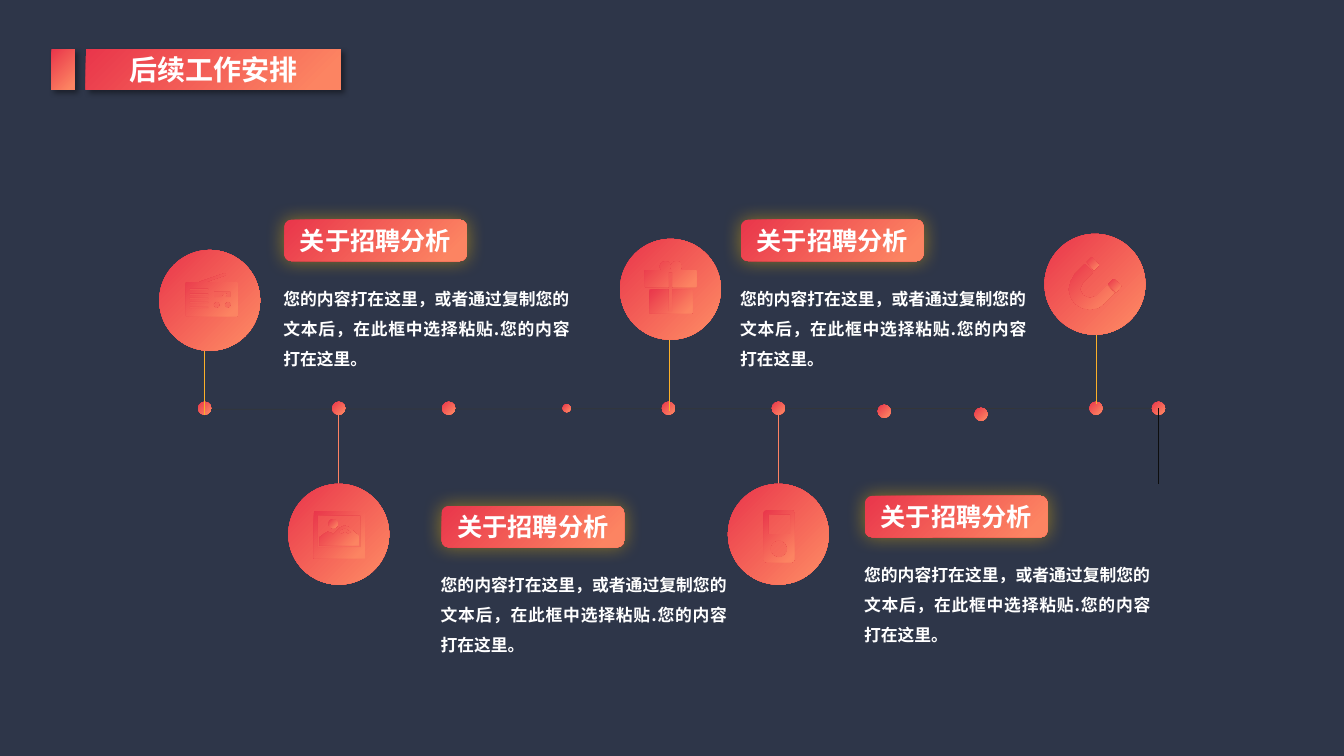
from math import cos, pi, sin

from lxml.etree import SubElement
from pptx import Presentation
from pptx.dml.color import RGBColor
from pptx.enum.shapes import MSO_CONNECTOR as Connector, MSO_SHAPE as Preset
from pptx.enum.text import MSO_ANCHOR as Anchor, PP_ALIGN as Align
from pptx.oxml.ns import qn
from pptx.util import Inches, Pt

COLORS = {
    "background": "2E3649", "red": "E9364B", "orange": "FC8462",
    "text": "FFFFFF", "glow": "FFC000", "shade": "000000",
    "axis": "343639", "stem_up": "FBB029", "stem_down": "FE8263", "stem_end": "0D0D0D",
}
CJK_FONT = "Noto Sans CJK SC"
HEADING = "关于招聘分析"
BODY = "您的内容打在这里，或者通过复制您的文本后，在此框中选择粘贴.您的内容打在这里。"
BADGE_SIZE = 1.0
DOT_SIZE = 0.13


def rgb(name):
    return RGBColor.from_string(COLORS[name])


def paint(shape):
    """Give a shape the red to orange gradient, without line or shadow."""
    shape.shadow.inherit = False
    shape.line.fill.background()
    shape.fill.gradient()
    shape.fill.gradient_angle = 315
    for stop, name, position in zip(shape.fill.gradient_stops, ("red", "orange"), (0, 0.9)):
        stop.color.rgb = rgb(name)
        stop.position = position


def add_shadow(shape, color, opacity, blur, distance=0, angle=0):
    effects = shape._element.spPr.find(qn("a:effectLst"))
    shadow = SubElement(effects, qn("a:outerShdw"), blurRad=str(Pt(blur)),
                        dist=str(Pt(distance)), dir=str(angle * 60000),
                        algn="ctr", rotWithShape="0")
    tint = SubElement(shadow, qn("a:srgbClr"), val=COLORS[color])
    SubElement(tint, qn("a:alpha"), val=str(opacity * 1000))


def add_preset(page, preset, left, top, width, height):
    shape = page.shapes.add_shape(preset, Inches(left), Inches(top), Inches(width), Inches(height))
    paint(shape)
    return shape


def write(shape, text, size, font=CJK_FONT, align=Align.CENTER, spacing=None):
    para = shape.text_frame.paragraphs[0]
    para.alignment = align
    if spacing:
        para.line_spacing = spacing
    span = para.add_run()
    span.text = text
    span.font.name = font
    span.font.size = Pt(size)
    span.font.bold = True
    span.font.color.rgb = rgb("text")
    SubElement(span.font._element, qn("a:ea"), typeface=CJK_FONT)


def add_line(page, start, end, color):
    line = page.shapes.add_connector(Connector.STRAIGHT, *(Inches(v) for v in (*start, *end)))
    line.line.color.rgb = rgb(color)
    line.line.width = Pt(0.5)
    SubElement(line._element.spPr, qn("a:effectLst"))


# Icon outlines, in hundredths of an inch from the corner of the badge
def rect(left, top, right, bottom):
    return [(left, top), (right, top), (right, bottom), (left, bottom)]


def ring(x, y, radius, steps=24):
    angles = [2 * pi * step / steps for step in range(steps)]
    return [(x + radius * cos(a), y + radius * sin(a)) for a in angles]


RADIO = [[
    [(77, 32), (46, 32), (66, 25), (66, 24), (65, 23), (39, 32), (27, 32), (26, 33),
     (26, 65), (27, 66), (77, 66), (78, 65), (78, 33)],
    *[rect(30, top, 49, top + 2) for top in (38, 43, 47, 51, 56)],
    ring(57, 54.5, 3.3), ring(68, 54.5, 3.3),
    [(71, 47), (65, 47), (67, 44), (65, 43), (62, 47), (54, 47), (54, 41), (71, 41)],
]]
PHOTO = [
    [rect(25, 27, 76, 74), rect(29, 31, 72, 63)],
    [ring(44.5, 39.5, 4.5)],
    [[(52, 43), (44, 51), (43, 49), (39, 47.5), (35, 50), (31, 53), (31, 61), (70, 61),
      (70, 52), (60, 43), (56, 41.5)],
     [(59, 50), (56, 48), (53, 50), (50, 48), (53, 45), (56, 44), (59, 45), (63, 48)]],
]
GIFT = [
    [[(75, 31), (60, 31), (61, 27), (60, 23.5), (56, 22), (52, 23.5), (50, 27), (51, 31),
      (49, 31), (50, 27), (49, 23.5), (45, 22), (41, 23.5), (39, 27), (41, 31), (25, 31),
      (24, 32), (24, 47), (25, 48), (48, 48), (48, 33), (52, 33), (52, 48), (75, 48),
      (76, 47), (76, 32)]],
    [[(52, 50), (52, 72), (48, 72), (48, 50), (29, 50), (29, 73), (30, 74), (71, 74),
      (72, 73), (72, 50)]],
]
PLAYER = [[
    [(39, 26), (63, 26), (65, 27), (66, 29), (66, 75), (65, 77), (63, 78), (39, 78),
     (36, 77), (35, 75), (35, 29), (36, 27)],
    rect(40, 30, 62, 50), ring(50.5, 64.5, 8.5),
]]
MAGNET = [
    [[(54, 31), (48, 24), (47, 23), (46, 24), (42, 28), (49, 36)]],
    [[(51, 62), (45, 64), (38, 61), (35, 55), (38, 48), (48, 38), (40, 30), (30, 40),
      (26, 47), (24, 55), (26, 63), (30, 69), (37, 73.5), (45, 75), (53, 73.5), (59, 69),
      (69, 59), (62, 51)]],
    [[(76, 51), (69, 45), (68, 45), (63, 50), (71, 58), (76, 52)]],
]


def add_icon(page, left, top, parts):
    for contours in parts:
        scaled = [[(x * 100, y * 100) for x, y in contour] for contour in contours]
        builder = page.shapes.build_freeform(*scaled[0][0], scale=Inches(1) / 10000)
        for index, contour in enumerate(scaled):
            if index:
                builder.move_to(*contour[0])
            builder.add_line_segments(contour[1:], close=True)
        paint(builder.convert_to_shape(Inches(left), Inches(top)))


def add_title(page, left, top, height=0.4):
    banner = add_preset(page, Preset.RECTANGLE, left + 0.34, top, 2.53, height)
    banner.text_frame.vertical_anchor = Anchor.MIDDLE
    write(banner, "后续工作安排", size=20, font="Arial Narrow")
    tab = add_preset(page, Preset.RECTANGLE, left, top, 0.23, height)
    for shape in (banner, tab):
        add_shadow(shape, "shade", 40, blur=4, distance=3, angle=45)


def add_timeline(page, left, top, right):
    add_line(page, (left, top + 0.01), (right, top), "axis")
    # Dots: centre, drop below the axis, size
    dots = [(2.03, 0, DOT_SIZE), (3.36, 0, DOT_SIZE), (4.45, 0, DOT_SIZE), (5.62, 0, 0.08),
            (6.63, 0, DOT_SIZE), (7.72, 0, DOT_SIZE), (10.87, 0, DOT_SIZE),
            (11.49, 0, DOT_SIZE), (8.77, 0.03, DOT_SIZE), (9.73, 0.06, DOT_SIZE)]
    for x, drop, size in dots:
        add_preset(page, Preset.OVAL, x - size / 2, top + drop - size / 2, size, size)
    # Stems: place, top, bottom
    stems = [(2.03, 3.37, 4.12, "stem_up"), (3.36, 4.12, 4.88, "stem_down"),
             (6.64, 3.33, 4.08, "stem_up"), (7.72, 4.12, 4.88, "stem_down"),
             (10.87, 3.26, 4.01, "stem_up"), (11.49, 4.05, 4.8, "stem_end")]
    for x, upper, lower, color in stems:
        add_line(page, (x, lower), (x, upper), color)


def add_badge(page, left, top, icon):
    add_preset(page, Preset.OVAL, left, top, BADGE_SIZE, BADGE_SIZE)
    add_icon(page, left, top, icon)


def add_note(page, left, top):
    box = page.shapes.add_textbox(Inches(left), Inches(top + 0.58), Inches(2.84), Inches(0.87))
    frame = box.text_frame
    frame.word_wrap = True
    frame.margin_left = frame.margin_right = frame.margin_top = frame.margin_bottom = 0
    write(box, BODY, size=12, align=Align.JUSTIFY, spacing=1.5)
    label = add_preset(page, Preset.ROUNDED_RECTANGLE, left + 0.01, top, 1.81, 0.41)
    label.text_frame.vertical_anchor = Anchor.MIDDLE
    add_shadow(label, "glow", 48, blur=14)
    write(label, HEADING, size=18)


def main():
    deck = Presentation()
    deck.slide_width, deck.slide_height = Inches(13.33), Inches(7.5)
    page = deck.slides.add_slide(deck.slide_layouts[6])
    page.background.fill.solid()
    page.background.fill.fore_color.rgb = rgb("background")

    add_title(page, 0.51, 0.49)
    add_timeline(page, 1.97, 4.05, 11.53)
    for left, top, icon in [(1.58, 2.48, RADIO), (2.86, 4.8, PHOTO), (6.15, 2.37, GIFT),
                            (7.22, 4.8, PLAYER), (10.36, 2.32, MAGNET)]:
        add_badge(page, left, top, icon)
    for left, top in [(2.81, 2.18), (7.34, 2.18), (4.37, 5.02), (8.57, 4.92)]:
        add_note(page, left, top)
    deck.save("out.pptx")


if __name__ == "__main__":
    main()
